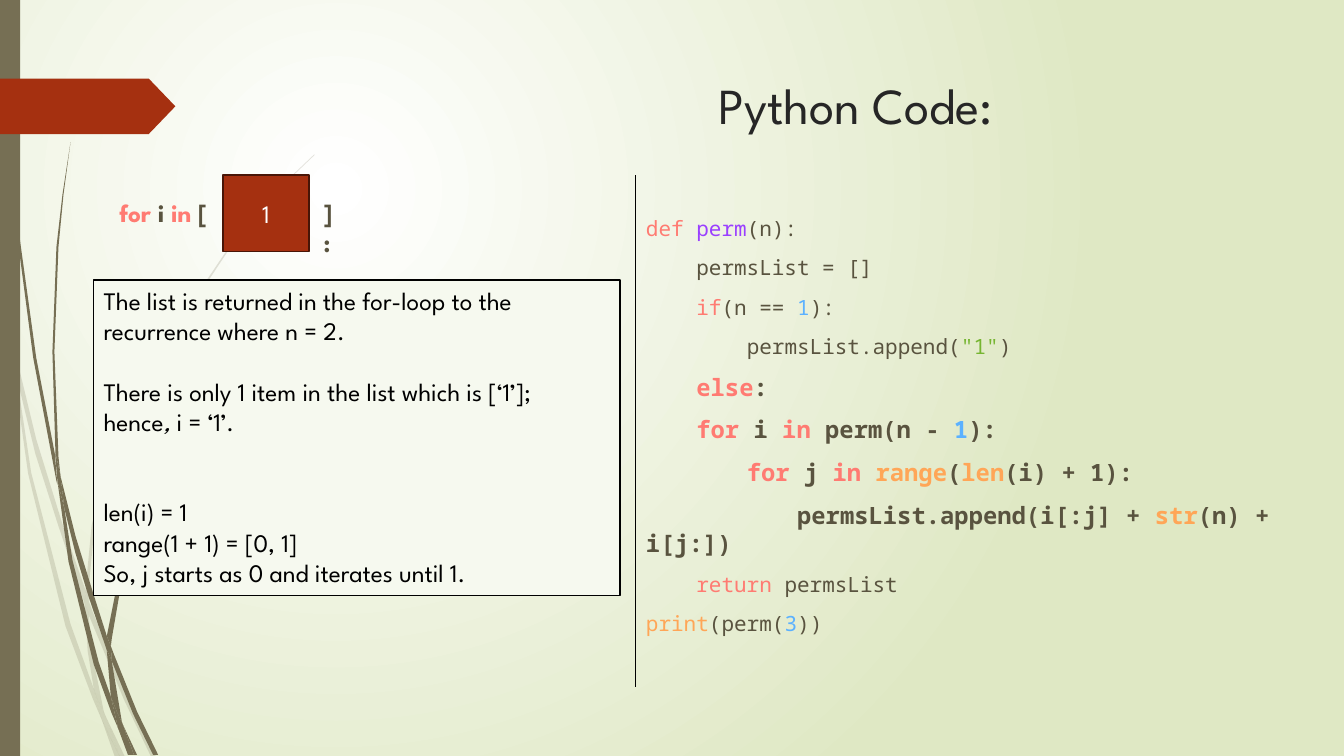
from lxml.etree import SubElement
from pptx import Presentation
from pptx.dml.color import RGBColor
from pptx.enum.shapes import MSO_CONNECTOR, MSO_SHAPE
from pptx.enum.text import MSO_ANCHOR, PP_ALIGN
from pptx.oxml.ns import qn
from pptx.util import Cm, Pt

BLACK = RGBColor(0x00, 0x00, 0x00)
WHITE = RGBColor(0xFF, 0xFF, 0xFF)
GREEN_EDGE = RGBColor(0xDF, 0xE8, 0xC4)
PANEL = RGBColor(0xF6, 0xF9, 0xEF)
OLIVE = RGBColor(0x76, 0x6F, 0x54)
RUST = RGBColor(0xA5, 0x30, 0x10)
RUST_DARK = RGBColor(0x48, 0x15, 0x07)
HEADING = RGBColor(0x26, 0x26, 0x26)
PLAIN = RGBColor(0x59, 0x53, 0x3F)
KEYWORD = RGBColor(0xFF, 0x7B, 0x72)
FUNC = RGBColor(0x9A, 0x3F, 0xFF)
NUMBER = RGBColor(0x5B, 0xB1, 0xFF)
STRING = RGBColor(0x76, 0xB5, 0x31)
BUILTIN = RGBColor(0xFF, 0xA6, 0x57)

SANS = "League Spartan"
MONO = "Noto Sans Mono"
TAB = Cm(1.27)
UNITS_PER_POINT = 254

PALE_BLADES = [
    "11,350 9,322 0,282 0,299 10,344",
    "58,522 84,599 85,586 62,520 36,436 14,345 17,376 35,450",
    "92,607 88,596 88,610 123,694 150,751 155,751 127,692",
    "119,751 124,751 105,711",
    "93,683 70,619 31,469 17,376 11,350 28,470 65,621 92,693 101,714 99,707",
    "84,599 87,646 93,683 96,692 105,711 103,706 91,646 88,610 88,608",
    "88,584 94,521 110,462 160,349 229,245 268,198 290,175 312,154 312,153 "
    "289,175 268,197 228,244 158,348 107,461 91,521 85,584 85,586 88,596",
    "101,714 114,751 119,751",
    "88,608 88,610 88,596 85,586 84,599",
    "96,692 93,683 99,707 101,714 119,751 105,711",
]
DARK_BLADES = [
    "7,110 17,233 33,355 56,477 57,481 55,457 55,453 36,355 19,232 8,109 "
    "5,48 4,0 3,0 4,48",
    "88,592 106,645 106,633 106,631 93,590 75,532 60,472 64,505 75,549",
    "113,649 110,641 111,656 132,708 152,749 157,749 136,706",
    "110,691 98,657 72,556 64,505 57,477 68,557 93,659 111,708 117,722 116,717",
    "60,472 58,453 54,349 58,245 63,193 70,141 62,193 56,245 52,349 55,449",
    "133,749 136,749 122,719",
    "57,477 64,505 60,472 55,449 55,453",
    "111,633 125,552 158,476 205,406 231,374 245,359 261,344 260,344 245,358 "
    "231,373 204,405 156,474 122,551 106,631 110,641",
    "117,722 127,749 131,749",
    "106,645 110,691 116,706 122,719 121,716 111,656 109,651",
    "106,645 109,651 111,656 110,641 106,631 106,633",
    "116,706 110,691 116,717 117,722 130,749 133,749 122,719",
]

CODE = [
    (0, False, [("def ", KEYWORD), ("perm", FUNC), ("(n):", PLAIN)]),
    (1, False, [("permsList = []", PLAIN)]),
    (1, False, [("if", KEYWORD), ("(n == ", PLAIN), ("1", NUMBER), ("):", PLAIN)]),
    (2, False, [("permsList.append(", PLAIN), ('"1"', STRING), (")", PLAIN)]),
    (1, True, [("else", KEYWORD), (":", PLAIN)]),
    (1, True, [("for ", KEYWORD), ("i ", PLAIN), ("in ", KEYWORD),
               ("perm(n - ", PLAIN), ("1", NUMBER), ("):", PLAIN)]),
    (2, True, [("for ", KEYWORD), ("j ", PLAIN), ("in ", KEYWORD),
               ("range", BUILTIN), ("(", PLAIN), ("len", BUILTIN),
               ("(i) + 1):", PLAIN)]),
    (3, True, [("permsList.append(i[:j] + ", PLAIN), ("str", BUILTIN),
               ("(n) + i[j:])", PLAIN)]),
    (1, False, [("return ", KEYWORD), ("permsList", PLAIN)]),
    (0, False, [("print", BUILTIN), ("(perm(", PLAIN), ("3", NUMBER), ("))", PLAIN)]),
]
LOOP_HEAD = [("for ", KEYWORD), ("i ", PLAIN), ("in ", KEYWORD), ("[", PLAIN)]
NOTES = [
    (0, ["The list is returned in the for-loop to the"]),
    (0, ["recurrence where n = 2."]),
    (1, ["There is only 1 item in the list which is [‘1’];"]),
    (0, ["hence", ",", " i = ‘1’."]),
    (2, ["len(i) = 1"]),
    (0, ["range(1 + 1) = [0, 1]"]),
    (0, ["So, j starts as 0 and iterates until 1."]),
]


def apply(obj, **formats):
    for name, value in formats.items():
        setattr(obj, name, value)


def add_run(p, text, color, size=18, font=SANS, **formats):
    r = p.add_run()
    r.text = text
    apply(r.font, name=font, size=Pt(size), **formats)
    r.font.color.rgb = color


def paint(sp, fill, line=None, width=1.25):
    sp.shadow.inherit = False
    sp.fill.solid()
    sp.fill.fore_color.rgb = fill
    if line is None:
        sp.line.fill.background()
    else:
        sp.line.color.rgb = line
        sp.line.width = Pt(width)


def add_box(slide, shape, box, fill, line=None):
    sp = slide.shapes.add_shape(shape, *map(Cm, box))
    paint(sp, fill, line)
    return sp


def add_text(slide, box, wrap):
    tf = slide.shapes.add_textbox(*map(Cm, box)).text_frame
    apply(tf, word_wrap=wrap, vertical_anchor=MSO_ANCHOR.TOP)
    return tf


def paragraphs(tf, rows):
    for i, row in enumerate(rows):
        yield (tf.add_paragraph() if i else tf.paragraphs[0]), row


def add_blade(slide, outline, alpha=None):
    points = [tuple(int(v) * UNITS_PER_POINT for v in pair.split(","))
              for pair in outline.split()]
    fb = slide.shapes.build_freeform(*points[0], scale=Cm(0.0001))
    fb.add_line_segments(points[1:], close=True)
    sp = fb.convert_to_shape()
    paint(sp, OLIVE)
    if alpha:
        clr = sp._element.spPr.find(qn("a:solidFill"))[0]
        SubElement(clr, qn("a:alpha"), val=str(alpha * 1000))


def set_background(slide):
    fill = slide.background.fill
    fill.gradient()
    for stop, color in zip(fill.gradient_stops, (WHITE, GREEN_EDGE)):
        stop.color.rgb = color
    grad = slide._element.find(".//" + qn("a:gradFill"))
    grad.remove(grad.find(qn("a:lin")))
    path = SubElement(grad, qn("a:path"), path="circle")
    SubElement(path, qn("a:fillToRect"), l="50000", t="50000", r="100000", b="100000")


def set_title(slide, text):
    sp = slide.shapes.title
    apply(sp, left=Cm(17.85), top=Cm(1.73), width=Cm(14.12), height=Cm(3.56))
    apply(sp.text_frame, vertical_anchor=MSO_ANCHOR.TOP, word_wrap=True)
    p = sp.text_frame.paragraphs[0]
    p.alignment = PP_ALIGN.LEFT
    add_run(p, text, HEADING, 36)


def add_code(slide):
    tf = add_text(slide, (16.03, 5.31, 18.03, 11.1), True)
    for p, (level, bold, tokens) in paragraphs(tf, CODE):
        apply(p, space_before=Pt(10), line_spacing=1.0)
        p._p.get_or_add_pPr().set("indent", str(level * TAB))
        for text, color in tokens:
            add_run(p, text, color, 17 if bold else 15, MONO, bold=bold)


def add_divider(slide):
    ln = slide.shapes.add_connector(
        MSO_CONNECTOR.STRAIGHT, Cm(16.02), Cm(17.3), Cm(16.02), Cm(4.42))
    ln.line.color.rgb = BLACK
    ln.line.width = Pt(0.75)
    SubElement(ln._element.spPr, qn("a:effectLst"))


def add_loop(slide):
    sp = add_box(slide, MSO_SHAPE.RECTANGLE, (5.62, 4.42, 2.16, 1.92), RUST, RUST_DARK)
    sp.text_frame.vertical_anchor = MSO_ANCHOR.MIDDLE
    p = sp.text_frame.paragraphs[0]
    p.alignment = PP_ALIGN.CENTER
    add_run(p, "1", WHITE)
    for box, wrap, tokens in [((2.76, 4.85, 2.74, 1.02), False, LOOP_HEAD),
                              ((7.9, 4.85, 0.89, 1.02), True, [("]:", PLAIN)])]:
        p = add_text(slide, box, wrap).paragraphs[0]
        for text, color in tokens:
            add_run(p, text, color, bold=True)


def add_notes_panel(slide):
    sp = add_box(slide, MSO_SHAPE.RECTANGLE, (2.36, 7.06, 13.26, 7.95), PANEL, BLACK)
    sp.text_frame.vertical_anchor = MSO_ANCHOR.TOP
    for p, (gap, texts) in paragraphs(sp.text_frame, NOTES):
        apply(p, alignment=PP_ALIGN.LEFT, space_before=Pt(21.6 * gap))
        for text in texts:
            add_run(p, text, BLACK, italic=text == ",")


def main():
    prs = Presentation()
    apply(prs, slide_width=Cm(33.87), slide_height=Cm(19.05))
    slide = prs.slides.add_slide(prs.slide_layouts[5])
    set_background(slide)
    for outline in PALE_BLADES:
        add_blade(slide, outline, 20)
    for outline in DARK_BLADES:
        add_blade(slide, outline)
    add_box(slide, MSO_SHAPE.RECTANGLE, (0, 0, 0.51, 19.05), OLIVE)
    tag = add_box(slide, MSO_SHAPE.PENTAGON, (0, 1.98, 4.42, 1.4), RUST)
    tag.adjustments[0] = 0.48
    set_title(slide, "Python Code:")
    add_code(slide)
    add_divider(slide)
    add_loop(slide)
    add_notes_panel(slide)
    prs.save("out.pptx")


if __name__ == "__main__":
    main()
